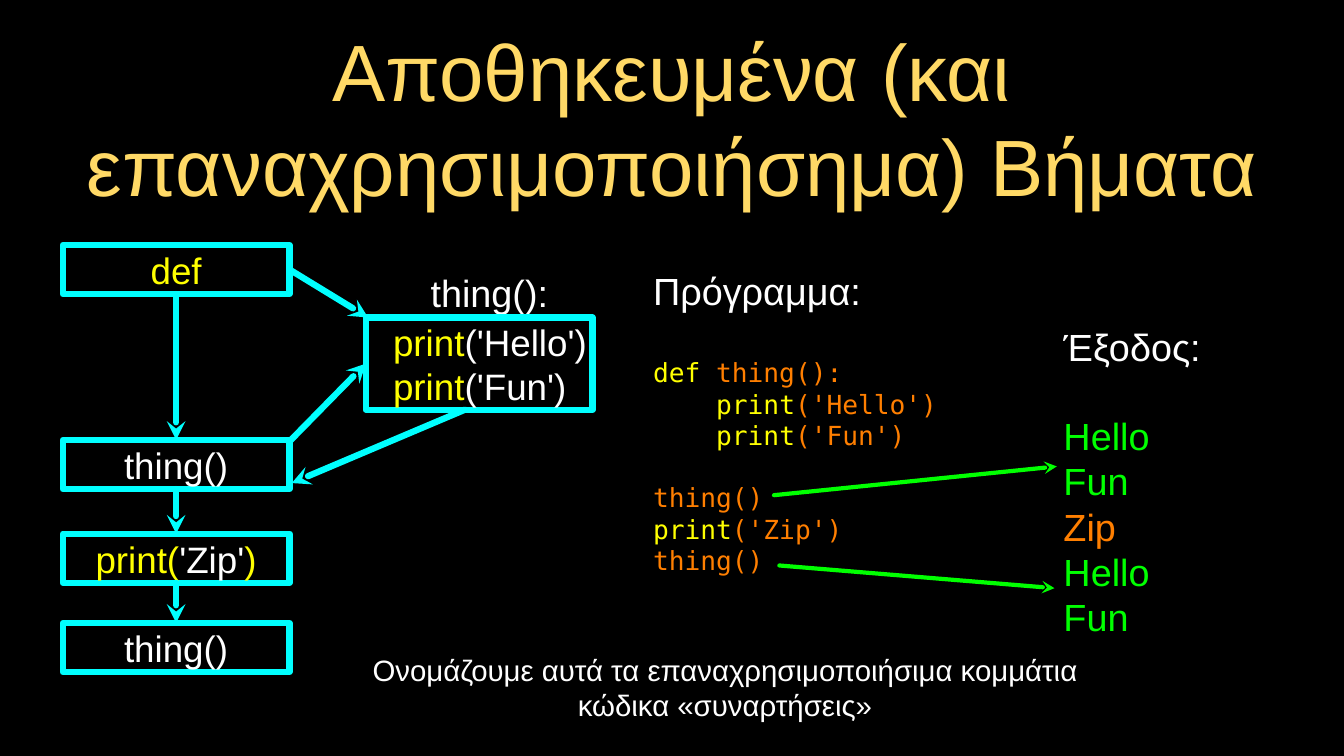
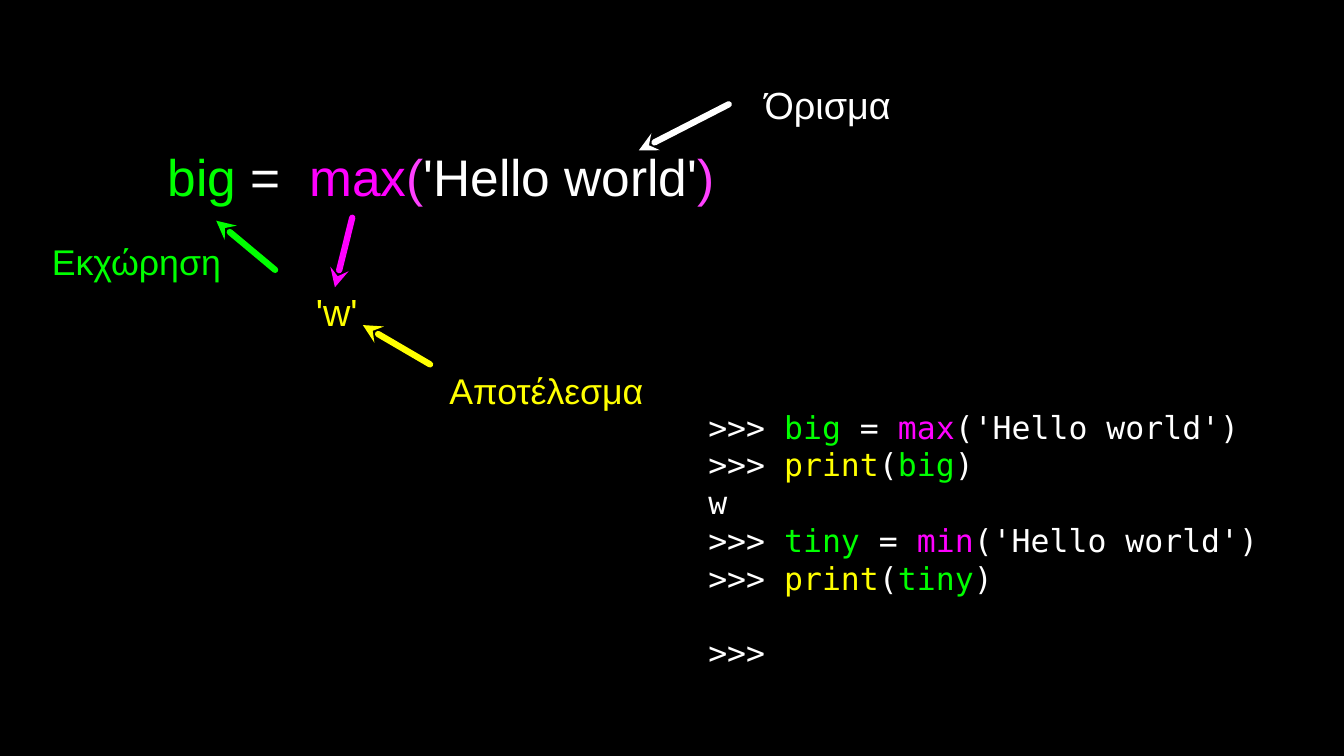
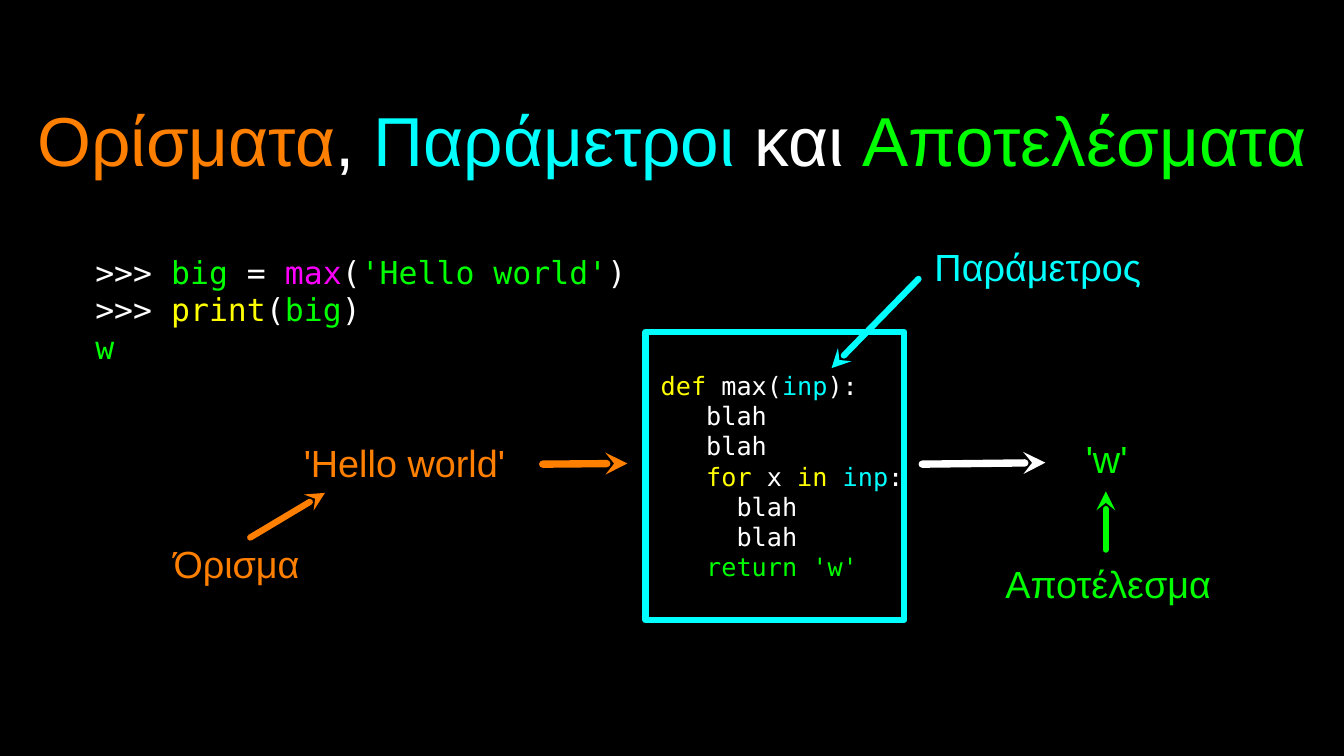
from pptx import Presentation
from pptx.dml.color import RGBColor
from pptx.enum.shapes import MSO_CONNECTOR, MSO_SHAPE
from pptx.enum.text import MSO_ANCHOR, MSO_AUTO_SIZE, PP_ALIGN
from pptx.oxml.ns import qn
from pptx.util import Inches, Pt
from lxml.etree import SubElement

WHITE, BLACK, GOLD = "FFFFFF", "000000", "FFD966"
CYAN, GREEN, YELLOW = "00FFFF", "00FF00", "FFFF00"
ORANGE, PINK, ROSE = "FF7F00", "FF00FF", "FF40FF"
SANS, MONO = "Arial", "DejaVu Sans Mono"
LEFT, MID = PP_ALIGN.LEFT, PP_ALIGN.CENTER
TOP, WEST, BASE, EAST = range(4)


def paint(code):
    return RGBColor.from_string(code)


def fixed(end):
    return isinstance(end[0], (int, float))


class Deck:
    def __init__(self):
        self.show = Presentation()
        self.show.slide_width, self.show.slide_height = Inches(17.78), Inches(10)
        fill = self.show.slide_master.background.fill
        fill.solid()
        fill.fore_color.rgb = paint(BLACK)

    def spot(self, x, y):
        return (round(self.show.slide_width * x / 100),
                round(self.show.slide_height * y / 100))

    def area(self, x, y, w, h):
        return self.spot(x, y) + self.spot(w, h)

    def page(self, layout):
        self.slide = self.show.slides.add_slide(self.show.slide_layouts[layout])

    def frame(self, shape, pad=0, left=None):
        frame = shape.text_frame
        frame.word_wrap = True
        frame.auto_size = MSO_AUTO_SIZE.NONE
        frame.vertical_anchor = MSO_ANCHOR.MIDDLE
        frame.margin_top = frame.margin_bottom = frame.margin_right = Inches(pad)
        frame.margin_left = Inches(pad if left is None else left)
        return frame

    def typeset(self, frame, lines, size=36, face=SANS, align=LEFT, gaps=None):
        for row, line in enumerate(lines):
            first = frame.paragraphs[0]
            para = frame.add_paragraph() if first.runs else first
            para.alignment = align
            para.space_before = Pt((gaps or {}).get(row, 0))
            for words, hue in line:
                run = para.add_run()
                run.text = words
                run.font.name, run.font.size = face, Pt(size)
                run.font.color.rgb = paint(hue)

    def title(self, place, line, size):
        shape = self.slide.shapes.title
        shape.left, shape.top, shape.width, shape.height = self.area(*place)
        self.typeset(self.frame(shape, 0.04), [line], size, align=MID)

    def text(self, place, lines, *style, **more):
        frame = self.frame(self.slide.shapes.add_textbox(*self.area(*place)))
        self.typeset(frame, lines, *style, **more)
        return frame

    def label(self, x, y, w, words, hue=WHITE, size=36):
        self.text((x, y, w, 6.8), [[(words, hue)]], size, align=MID)

    def box(self, place, lines, size=35, face=SANS, align=MID, left=0):
        shape = self.slide.shapes.add_shape(MSO_SHAPE.RECTANGLE, *self.area(*place))
        shape.shadow.inherit = False
        shape.fill.background()
        shape.line.color.rgb, shape.line.width = paint(CYAN), Pt(6)
        self.typeset(self.frame(shape, left=left), lines, size, face, align)
        return shape

    def arrow(self, start, tip, hue=CYAN, width=6):
        ends = [self.spot(*end) if fixed(end) else (0, 0) for end in (start, tip)]
        line = self.slide.shapes.add_connector(MSO_CONNECTOR.STRAIGHT, *ends[0], *ends[1])
        for end, join in ((start, line.begin_connect), (tip, line.end_connect)):
            if not fixed(end):
                join(*end)
        line.line.color.rgb, line.line.width = paint(hue), Pt(width)
        props = line.element.spPr
        edge = props.find(qn("a:ln"))
        edge.set("cap", "rnd")
        SubElement(edge, qn("a:round"))
        SubElement(edge, qn("a:tailEnd")).set("type", "stealth")
        SubElement(props, qn("a:effectLst"))


def assign(name, func, *tail):
    return [(">>> ", WHITE), (name, GREEN), (" = ", WHITE), (func, PINK), *tail]


def echo(name):
    return [(">>> ", WHITE), ("print", YELLOW), ("(", WHITE), (name, GREEN), (")", WHITE)]


def output(arg, hue, lead=""):
    return [(lead + "print", YELLOW), (f"('{arg}')", hue)]


def steps(deck):
    deck.page(5)
    deck.title((5.68, 6, 88.58, 19),
               [("Αποθηκευμένα (και επαναχρησιμοποιήσημα) Βήματα", GOLD)], 76)
    flow = [
        (32.4, [("def", YELLOW)]),
        (58.2, [("thing()", WHITE)]),
        (70.6, [("print(", YELLOW), ("'Zip'", WHITE), (")", YELLOW)]),
        (82.4, [("thing()", WHITE)]),
    ]
    boxes = [deck.box((4.67, y, 16.87, 6.5), [line]) for y, line in flow]
    for upper, lower in zip(boxes, boxes[1:]):
        deck.arrow((upper, BASE), (lower, TOP))
    deck.label(30.99, 35.3, 10.85, "thing():")
    body = deck.box((27.22, 42, 16.87, 12.2),
                    [output("Hello", WHITE), output("Fun", WHITE)], align=LEFT, left=0.36)
    deck.arrow((boxes[0], EAST), (27.39, 42))
    deck.arrow((21.48, 58.5), (body, WEST))
    deck.arrow((34.59, 54.2), (21.71, 63.9))

    code = deck.text((48.59, 35, 22.05, 41.6), [[("Πρόγραμμα:", WHITE)]])
    call = [("thing()", ORANGE)]
    deck.typeset(code, [
        [("def", YELLOW), (" thing():", ORANGE)],
        output("Hello", ORANGE, "    "),
        output("Fun", ORANGE, "    "),
        call,
        output("Zip", ORANGE),
        call,
    ], 25, MONO, gaps={0: 41.4, 3: 29.1})
    hello = [[("Hello", GREEN)], [("Fun", GREEN)]]
    deck.text((79.13, 43.2, 19.46, 41),
              [[("Έξοδος:", WHITE)], *hello, [("Zip", ORANGE)], *hello], gaps={1: 41.4})
    deck.arrow((57.59, 65.5), (78.63, 61.7), GREEN, 4)
    deck.arrow((57.99, 74.8), (78.46, 77.8), GREEN, 4)
    deck.label(26.77, 87.5, 54.33,
               "Ονομάζουμε αυτά τα επαναχρησιμοποιήσιμα κομμάτια κώδικα «συναρτήσεις»", size=28)


def result(deck):
    deck.page(6)
    arg = ("('Hello world')", WHITE)
    deck.text((52.7, 53.3, 42.97, 36.1), [
        assign("big", "max", arg),
        echo("big"),
        [("w", WHITE)],
        assign("tiny", "min", arg),
        echo("tiny"),
        [(">>>", WHITE)],
    ], 30, MONO, gaps={5: 34.9})
    deck.text((12.49, 18.8, 41.73, 8.9), [[
        ("big", GREEN), (" =  ", WHITE), ("max", PINK),
        ("(", ROSE), ("'Hello world'", WHITE), (")", ROSE)]], 49)
    deck.label(54.22, 10.4, 14.74, "Όρισμα")
    deck.label(23.17, 37.8, 3.77, "'w'", YELLOW)
    deck.label(33.35, 48.2, 14.62, "Αποτέλεσμα", YELLOW, 34)
    deck.label(2.08, 31.2, 16.14, "Εκχώρηση", GREEN, 34)
    deck.arrow((54.22, 13.8), (47.53, 19.9), WHITE)
    deck.arrow((32, 48.2), (27, 43), YELLOW)
    deck.arrow((20.47, 35.7), (16.09, 29.2), GREEN)
    deck.arrow((26.21, 28.8), (24.92, 38), PINK)


def terms(deck):
    deck.page(5)
    deck.title((1.12, 8.8, 97.75, 19), [
        ("Ορίσματα", ORANGE), (", ", WHITE), ("Παράμετροι ", CYAN),
        ("και ", WHITE), ("Αποτελέσματα", GREEN)], 66)
    deck.text((7.09, 31.8, 46.46, 18.2), [
        assign("big", "max", ("(", WHITE), ("'Hello world'", GREEN), (")", WHITE)),
        echo("big"),
        [("w", GREEN)],
    ], 30, MONO)
    outer, inner = [("    blah", WHITE)], [("      blah", WHITE)]
    deck.box((48.03, 43.9, 19.24, 38.1), [
        [(" def", YELLOW), (" max(", WHITE), ("inp", CYAN), ("):", WHITE)],
        outer, outer,
        [("    for", YELLOW), (" x ", WHITE), ("in ", YELLOW), ("inp", CYAN), (":", WHITE)],
        inner, inner,
        [("    return 'w'", GREEN)],
    ], 24, MONO, LEFT)
    deck.label(21.32, 57.8, 17.55, "'Hello world'", ORANGE)
    deck.label(80.37, 57.2, 3.94, "'w'", GREEN)
    deck.label(10.46, 71.1, 14.29, "Όρισμα", ORANGE)
    deck.label(69.07, 31.8, 16.31, "Παράμετρος", CYAN)
    deck.label(74.3, 73.8, 16.31, "Αποτέλεσμα", GREEN)
    deck.arrow((40.38, 61.4), (46.68, 61.3), ORANGE, 7)
    deck.arrow((68.62, 61.4), (77.78, 61.2), WHITE, 7)
    deck.arrow((18.62, 71.1), (24.18, 65.2), ORANGE)
    deck.arrow((68.34, 36.9), (61.87, 48.7))
    deck.arrow((82.28, 72.7), (82.28, 65), GREEN)


def main():
    deck = Deck()
    for build in (steps, result, terms):
        build(deck)
    deck.show.save("out.pptx")


if __name__ == "__main__":
    main()
